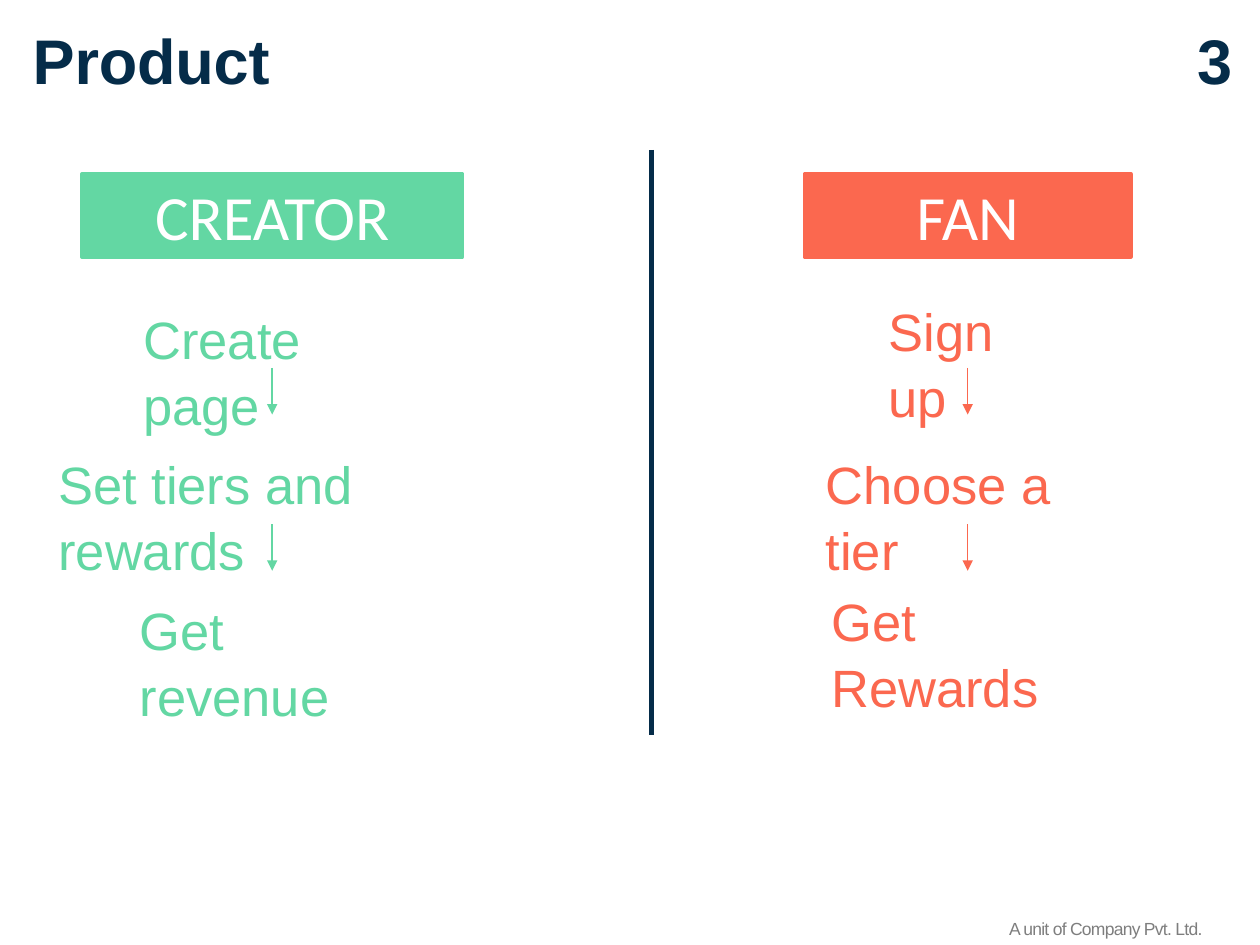
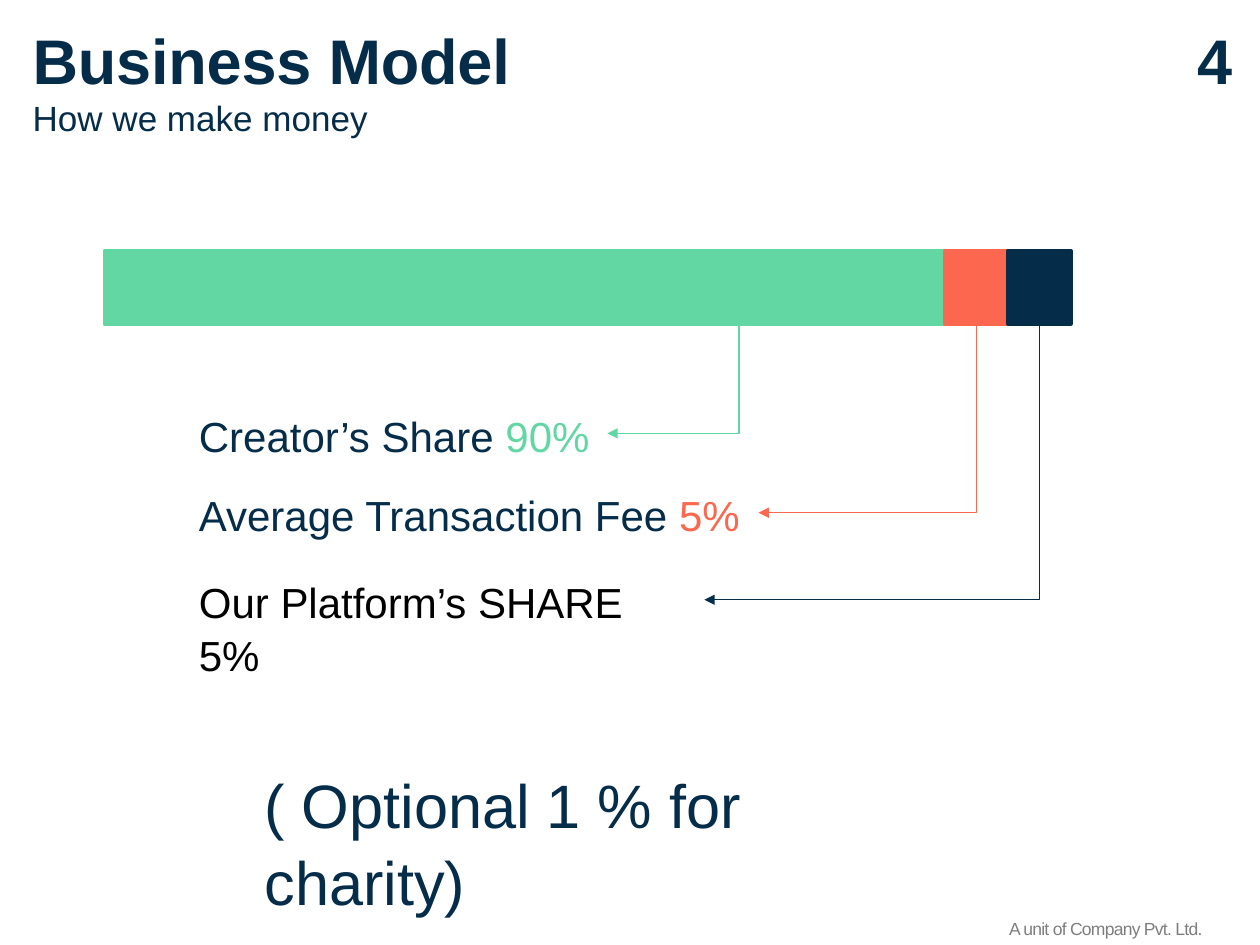
from dataclasses import dataclass
from typing import NamedTuple

from lxml.etree import SubElement
from pptx import Presentation
from pptx.dml.color import RGBColor
from pptx.enum.shapes import MSO_CONNECTOR as Connector, MSO_SHAPE as Preset
from pptx.enum.text import MSO_ANCHOR as Anchor, PP_ALIGN as Align
from pptx.oxml.ns import qn
from pptx.util import Emu, Inches, Pt

SLIDE_WIDTH, SLIDE_HEIGHT = Inches(10), Inches(7.5)
COLUMNS, ROWS = 100, 75


@dataclass(frozen=True)
class Theme:
    navy: str = "052C49"
    green: str = "63D7A3"
    coral: str = "FB684F"
    black: str = "000000"
    white: str = "FFFFFF"
    grey: str = "7E7E7E"
    body_font: str = "Arial"
    banner_font: str = "Calibri"
    title: float = 36
    subtitle: float = 20
    step: float = 30
    label: float = 24
    remark: float = 35
    footer: float = 10
    leading: float = 1.05
    thin: float = 0.75
    border: float = 2
    divider: float = 2.75


THEME = Theme()


class Area(NamedTuple):
    column: float
    row: float
    width: float
    height: float


class Point(NamedTuple):
    column: float
    row: float


class Span(NamedTuple):
    text: str
    color: str


class Step(NamedTuple):
    text: str
    row: float
    width: float
    shift: float = 0


class Journey(NamedTuple):
    name: str
    color: str
    axis: float
    banner_width: float
    steps: tuple[Step, ...]


class Share(NamedTuple):
    spans: tuple[Span, ...]
    color: str
    bar_width: float
    label_row: float
    label_width: float


JOURNEYS = (
    Journey("CREATOR", THEME.green, 21.6, 30.2, (
        Step("Create page", 23.6, 22.4),
        Step("Set tiers and rewards", 35.1, 37.9, 1),
        Step("Get revenue", 46.7, 23),
    )),
    Journey("FAN", THEME.coral, 76.8, 25.9, (
        Step("Sign up", 23, 14.5),
        Step("Choose a tier", 35.1, 24.5),
        Step("Get Rewards", 46, 23.6),
    )),
)
SHARES = (
    Share((Span("Creator’s Share ", THEME.navy), Span("90%", THEME.green)),
          THEME.green, 66.7, 31.9, 33.4),
    Share((Span("Average Transaction Fee ", THEME.navy), Span("5%", THEME.coral)),
          THEME.coral, 5, 38.2, 45.4),
    Share((Span("Our Platform’s SHARE 5%", THEME.black),),
          THEME.navy, 5, 45.1, 41.1),
)
ARROW_ROWS = (29.2, 41.6)
ARROW_LENGTH = 3.7
BAR = Point(8.3, 19.9)
BAR_HEIGHT = 5.8
LABEL_COLUMN = 14.8
LABEL_HEIGHT = 5


def across(columns: float) -> Emu:
    return Emu(round(SLIDE_WIDTH * columns / COLUMNS))


def down(rows: float) -> Emu:
    return Emu(round(SLIDE_HEIGHT * rows / ROWS))


def place(area: Area) -> tuple[Emu, Emu, Emu, Emu]:
    return across(area.column), down(area.row), across(area.width), down(area.height)


def write(para, text: str, *, size: float, color: str, font: str = THEME.body_font,
          bold: bool = False, tracking: float = 0) -> None:
    span = para.add_run()
    span.text = text
    span.font.name = font
    span.font.size = Pt(size)
    span.font.bold = bold
    span.font.color.rgb = RGBColor.from_string(color)
    if tracking:
        span._r.get_or_add_rPr().set("spc", str(round(tracking * 100)))


def add_box(page, area: Area, *, inset: bool = True, top: float = 0):
    box = page.shapes.add_textbox(*place(area))
    frame = box.text_frame
    frame.word_wrap = True
    if not inset:
        frame.margin_left = across(0.1)
        frame.margin_right = frame.margin_bottom = 0
        frame.margin_top = Inches(top)
    return frame


def add_text(page, area: Area, spans: tuple[Span, ...], size: float) -> None:
    para = add_box(page, area).paragraphs[0]
    para.line_spacing = THEME.leading
    for span in spans:
        write(para, span.text, size=size, color=span.color)


def add_block(page, area: Area, color: str):
    block = page.shapes.add_shape(Preset.RECTANGLE, *place(area))
    block.shadow.inherit = False
    block.fill.solid()
    block.fill.fore_color.rgb = RGBColor.from_string(color)
    block.line.color.rgb = RGBColor.from_string(color)
    block.line.width = Pt(THEME.border)
    return block


def add_line(page, start: Point, end: Point, color: str, *, width: float = THEME.thin,
             kind=Connector.STRAIGHT, arrow: str = "", preset: str = "") -> None:
    line = page.shapes.add_connector(
        kind, across(start.column), down(start.row), across(end.column), down(end.row))
    line.line.color.rgb = RGBColor.from_string(color)
    line.line.width = Pt(width)
    properties = line._element.spPr
    if arrow:
        SubElement(line.line._get_or_add_ln(), qn(f"a:{arrow}")).set("type", "triangle")
    if preset:
        properties.find(qn("a:prstGeom")).set("prst", preset)
    SubElement(properties, qn("a:effectLst"))


def add_page(deck, title: str, number: int, subtitle: str = ""):
    page = deck.slides.add_slide(deck.slide_layouts[6])
    frame = add_box(page, Area(2.5, 1.6, 60, 9.7 if subtitle else 6.3), inset=False, top=0.01)
    heading = frame.paragraphs[0]
    heading.space_before = Pt(1)
    write(heading, title, size=THEME.title, color=THEME.navy, bold=True, tracking=-0.1)
    if subtitle:
        write(frame.add_paragraph(), subtitle, size=THEME.subtitle, color=THEME.navy)
    counter = add_box(page, Area(94.9, 1.6, 3.1, 6.3), inset=False, top=0.01).paragraphs[0]
    counter.space_before = Pt(1)
    write(counter, str(number), size=THEME.title, color=THEME.navy, bold=True)
    footer = add_box(page, Area(80, 73.1, 19, 1.4), inset=False).paragraphs[0]
    footer.line_spacing = Pt(10.4)
    write(footer, "A unit of Company Pvt. Ltd.", size=THEME.footer, color=THEME.grey,
          tracking=-0.4)
    return page


def draw_journey(page, journey: Journey) -> None:
    left = journey.axis - journey.banner_width / 2
    banner = add_block(page, Area(left, 13.8, journey.banner_width, 6.6), journey.color)
    frame = banner.text_frame
    frame.vertical_anchor = Anchor.MIDDLE
    para = frame.paragraphs[0]
    para.alignment = Align.CENTER
    write(para, journey.name, size=THEME.title, color=THEME.white, font=THEME.banner_font)
    for step in journey.steps:
        area = Area(journey.axis - step.width / 2 + step.shift, step.row, step.width, 6.1)
        add_text(page, area, (Span(step.text, journey.color),), THEME.step)
    for row in ARROW_ROWS:
        add_line(page, Point(journey.axis, row), Point(journey.axis, row + ARROW_LENGTH),
                 journey.color, arrow="tailEnd")


def draw_product(deck) -> None:
    page = add_page(deck, "Product", 3)
    for journey in JOURNEYS:
        draw_journey(page, journey)
    add_line(page, Point(51.7, 11.9), Point(51.7, 58.3), THEME.navy, width=THEME.divider)


def draw_business_model(deck) -> None:
    page = add_page(deck, "Business Model", 4, "How we make money")
    column = BAR.column
    for index, share in enumerate(SHARES):
        add_block(page, Area(column, BAR.row, share.bar_width, BAR_HEIGHT), share.color)
        label = Area(LABEL_COLUMN, share.label_row, share.label_width, LABEL_HEIGHT)
        add_text(page, label, share.spans, THEME.label)
        start = Point(label.column + label.width, label.row + label.height / 2)
        if index == 0:
            end, preset = Point(69.1, 24), "bentConnector3"
        else:
            end = Point(column + share.bar_width / 2, BAR.row + BAR_HEIGHT)
            preset = "bentConnector2"
        add_line(page, start, end, share.color, kind=Connector.ELBOW, arrow="headEnd",
                 preset=preset)
        column += share.bar_width
    add_text(page, Area(20, 60.1, 53.1, 6.9),
             (Span("( Optional 1 % for charity)", THEME.navy),), THEME.remark)


def main() -> None:
    deck = Presentation()
    deck.slide_width, deck.slide_height = SLIDE_WIDTH, SLIDE_HEIGHT
    draw_product(deck)
    draw_business_model(deck)
    deck.save("out.pptx")


if __name__ == "__main__":
    main()
